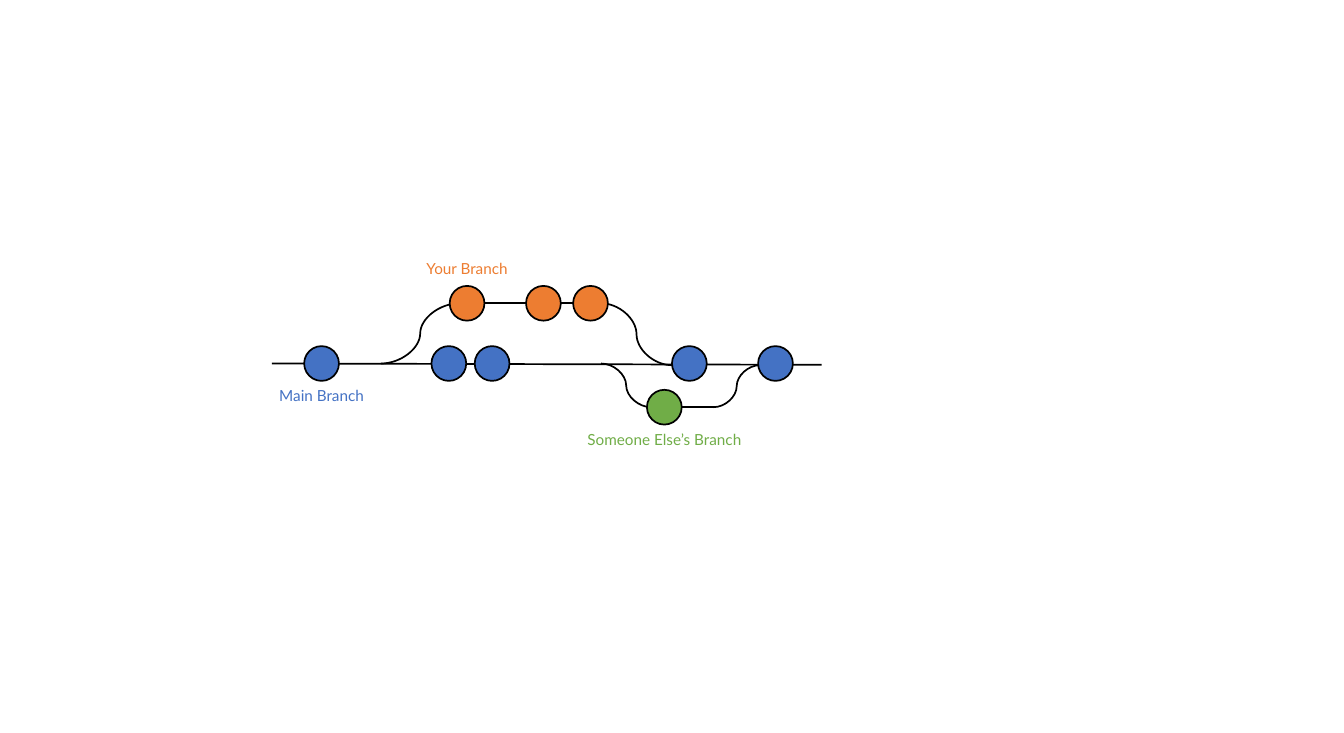
from pptx import Presentation
from pptx.dml.color import RGBColor
from pptx.enum.shapes import MSO_CONNECTOR, MSO_SHAPE
from pptx.enum.text import MSO_ANCHOR, PP_ALIGN
from pptx.oxml.ns import qn
from pptx.util import Pt

STRAIGHT, CURVE = MSO_CONNECTOR.STRAIGHT, MSO_CONNECTOR.CURVE
OVAL = MSO_SHAPE.OVAL
CENTER, TOP = PP_ALIGN.CENTER, MSO_ANCHOR.TOP

SLIDE_SIZE = (1584, 864)
BLACK, BLUE, ORANGE, GREEN = "000000", "4472C4", "ED7D31", "70AD47"
LINE_WIDTH = 2
COMMIT_SIZE = 41
LABEL_HEIGHT = 29

MAIN_Y, YOUR_Y, OTHER_Y = 428.5, 357.5, 480

# Branch name, colour, line height, commit centres, label top, label width
BRANCHES = [
    ("Main Branch", BLUE, MAIN_Y, [379, 529, 580, 812.5, 914], 452, 184),
    ("Your Branch", ORANGE, YOUR_Y, [550.5, 640.5, 696], 302.5, 125),
    ("Someone Else’s Branch", GREEN, OTHER_Y, [783], 503, 278),
]

# Connector kind, start point, end point
TRACKS = [
    (STRAIGHT, (320.5, MAIN_Y), (968.5, 430)),
    (CURVE, (449, MAIN_Y), (541.5, YOUR_Y)),
    (STRAIGHT, (541.5, YOUR_Y), (708.5, YOUR_Y)),
    (CURVE, (792, 430.5), (708.5, YOUR_Y)),
    (CURVE, (767.5, OTHER_Y), (708.5, MAIN_Y)),
    (STRAIGHT, (763, OTHER_Y), (841, OTHER_Y)),
    (CURVE, (841, OTHER_Y), (895.5, 430.5)),
]


def color(hex_code):
    """Turn a hex string into a colour."""
    return RGBColor.from_string(hex_code)


def style_line(line):
    """Give an outline or connector the common black stroke."""
    line.color.rgb = color(BLACK)
    line.width = Pt(LINE_WIDTH)


def add_track(slide, kind, start, end):
    """Draw a straight or curved stretch of a branch."""
    points = [Pt(value) for value in (*start, *end)]
    connector = slide.shapes.add_connector(kind, *points)
    style_line(connector.line)
    properties = connector._element.spPr
    properties.append(properties.makeelement(qn("a:effectLst"), {}))


def add_commit(slide, center_x, center_y, fill):
    """Draw a commit as a circle around its centre."""
    radius = COMMIT_SIZE / 2
    shape = slide.shapes.add_shape(
        OVAL, Pt(center_x - radius), Pt(center_y - radius),
        Pt(COMMIT_SIZE), Pt(COMMIT_SIZE))
    shape.shadow.inherit = False
    shape.fill.solid()
    shape.fill.fore_color.rgb = color(fill)
    style_line(shape.line)


def add_text(slide, text, *, center_x, top, width, fill, size=18, font="Lato"):
    """Write a centred line of text below a given top edge."""
    box = slide.shapes.add_textbox(
        Pt(center_x - width / 2), Pt(top), Pt(width), Pt(LABEL_HEIGHT))
    frame = box.text_frame
    frame.word_wrap = True
    frame.vertical_anchor = TOP
    paragraph = frame.paragraphs[0]
    paragraph.alignment = CENTER
    run = paragraph.add_run()
    run.text = text
    run.font.name = font
    run.font.size = Pt(size)
    run.font.color.rgb = color(fill)


def main():
    """Build the branch diagram and save it."""
    presentation = Presentation()
    presentation.slide_width, presentation.slide_height = map(Pt, SLIDE_SIZE)
    slide = presentation.slides.add_slide(presentation.slide_layouts[6])

    for kind, start, end in TRACKS:
        add_track(slide, kind, start, end)

    for name, fill, line_y, commits, label_top, label_width in BRANCHES:
        for commit_x in commits:
            add_commit(slide, commit_x, line_y, fill)
        add_text(slide, name, center_x=commits[0], top=label_top,
                 width=label_width, fill=fill)

    presentation.save("out.pptx")


main()
